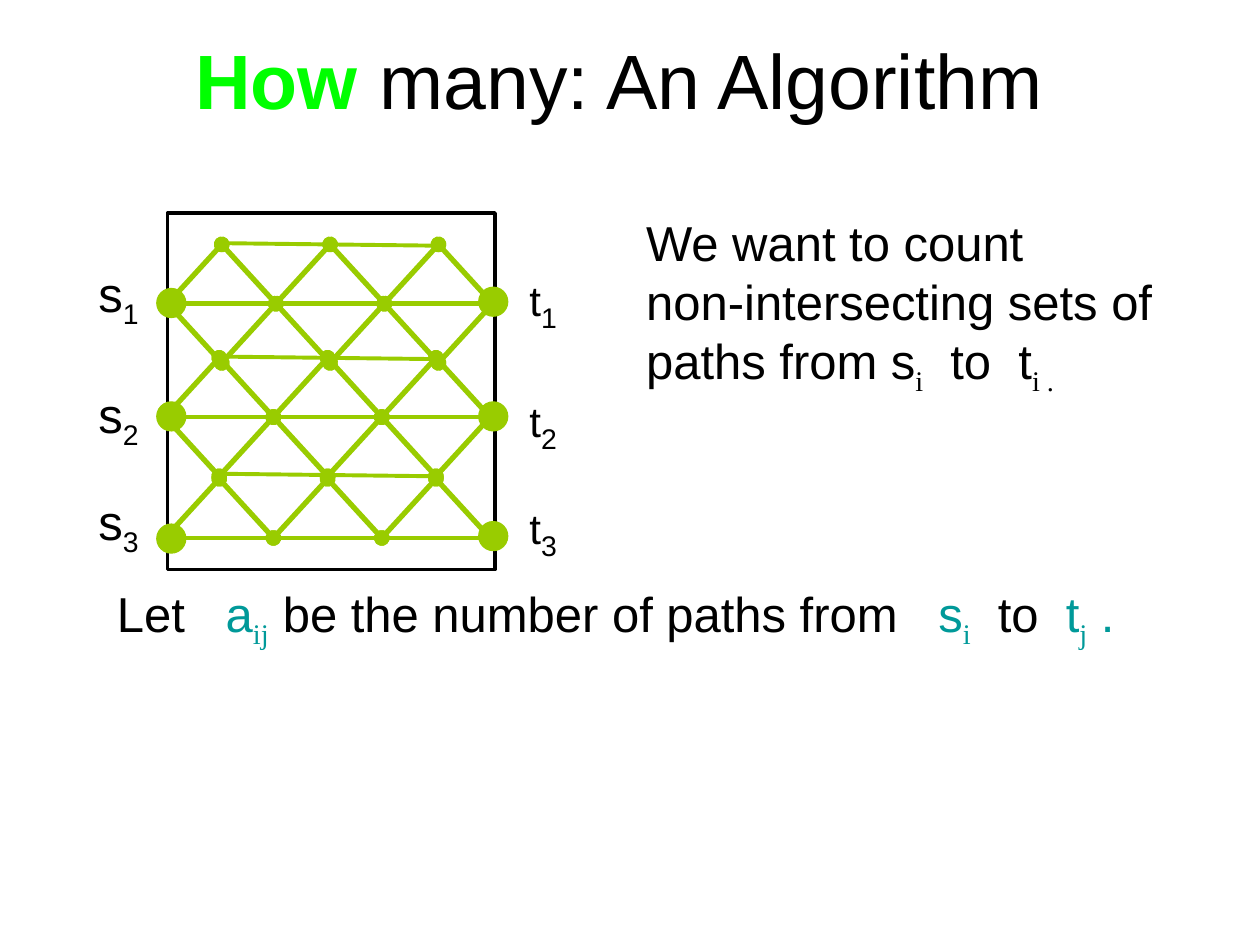
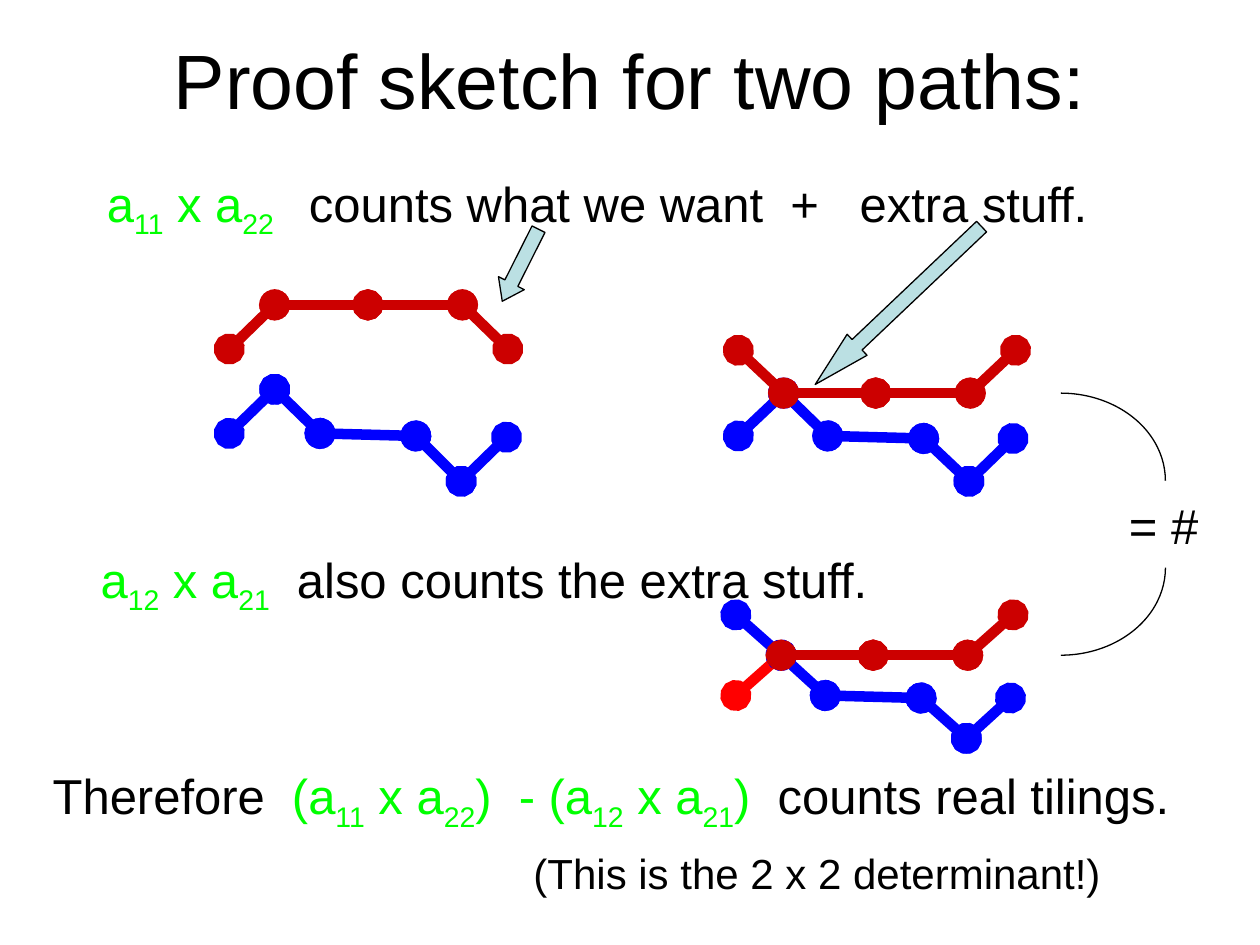
from lxml.etree import SubElement
from pptx import Presentation
from pptx.dml.color import RGBColor
from pptx.enum.shapes import MSO_CONNECTOR, MSO_SHAPE
from pptx.enum.text import MSO_ANCHOR, MSO_AUTO_SIZE, PP_ALIGN
from pptx.oxml.ns import qn
from pptx.util import Inches, Pt

BLACK = RGBColor(0x00, 0x00, 0x00)
GREEN = RGBColor(0x00, 0xFF, 0x00)
TEAL = RGBColor(0x00, 0x99, 0x99)
LIME = RGBColor(0x99, 0xCC, 0x00)
CRIMSON = RGBColor(0xCC, 0x00, 0x00)
RED = RGBColor(0xFF, 0x00, 0x00)
BLUE = RGBColor(0x00, 0x00, 0xFF)
PALE_BLUE = RGBColor(0xBB, 0xE0, 0xE3)
SANS = "Arial"
SERIF = "Times New Roman"
TITLE_ONLY = 5


def span(text, color=None, sub=False, font=None, size=None, bold=None):
    return dict(text=text, color=color, sub=sub, font=font, size=size, bold=bold)


def sub(text, color=None, font=None, size=None):
    return span(text, color, True, font, size)


class Painter:
    """Holds the deck, the current page and the shared style."""

    def __init__(self):
        self.deck = Presentation()
        self.deck.slide_width, self.deck.slide_height = Inches(10), Inches(7.5)

    def new_page(self, *title_spans):
        self.page = self.deck.slides.add_slide(self.deck.slide_layouts[TITLE_ONLY])
        self.shapes = self.page.shapes
        title = self.page.shapes.title
        title.left, title.top = Inches(0.75), Inches(0)
        title.width, title.height = Inches(8.5), Inches(1.25)
        title.text_frame.vertical_anchor = MSO_ANCHOR.MIDDLE
        self.fill_para(title.text_frame.paragraphs[0], title_spans, 44, PP_ALIGN.CENTER)

    def start_group(self):
        self.shapes = self.page.shapes.add_group_shape().shapes

    def end_group(self):
        self.shapes = self.page.shapes

    def fill_para(self, para, spans, size, align):
        para.alignment = align
        para.font.name, para.font.size = SANS, Pt(size)
        para.font.color.rgb = BLACK
        for item in spans:
            run = para.add_run()
            run.text = item["text"]
            if item["color"] is not None:
                run.font.color.rgb = item["color"]
            if item["font"]:
                run.font.name = item["font"]
            if item["size"]:
                run.font.size = Pt(item["size"])
            if item["bold"]:
                run.font.bold = True
            if item["sub"]:
                run._r.get_or_add_rPr().set("baseline", "-25000")

    def text(self, left, top, width, height, *lines, size=28,
             align=PP_ALIGN.LEFT, anchor=MSO_ANCHOR.TOP):
        box = self.shapes.add_textbox(Inches(left), Inches(top), Inches(width), Inches(height))
        frame = box.text_frame
        frame.word_wrap = False
        frame.auto_size = MSO_AUTO_SIZE.SHAPE_TO_FIT_TEXT
        frame.vertical_anchor = anchor
        for index, spans in enumerate(lines):
            para = frame.add_paragraph() if index else frame.paragraphs[0]
            self.fill_para(para, spans, size, align)

    def label(self, left, top, width, height, *spans, size=28):
        self.text(left, top, width, height, spans, size=size,
                  align=PP_ALIGN.CENTER, anchor=MSO_ANCHOR.MIDDLE)

    def shape(self, kind, left, top, width, height, fill=None, line=BLACK, weight=0.75):
        shape = self.shapes.add_shape(kind, Inches(left), Inches(top), Inches(width), Inches(height))
        shape.shadow.inherit = False
        if fill is None:
            shape.fill.background()
        else:
            shape.fill.solid()
            shape.fill.fore_color.rgb = fill
        shape.line.color.rgb = line
        shape.line.width = Pt(weight)
        return shape

    def arrow(self, left, top, width, height, angle, head):
        arrow = self.shape(MSO_SHAPE.RIGHT_ARROW, left, top, width, height, PALE_BLUE)
        arrow.rotation = angle
        arrow.adjustments[1] = head

    def line(self, start, end, color, weight, dots="both"):
        """Draw a line with round dots at "both" ends, the "start" or "none"."""
        line = self.shapes.add_connector(MSO_CONNECTOR.STRAIGHT, *map(Inches, start + end))
        line.line.color.rgb = color
        line.line.width = Pt(weight)
        outline = line.line._get_or_add_ln()
        if dots != "none":
            SubElement(outline, qn("a:headEnd"), type="oval")
        if dots == "both":
            SubElement(outline, qn("a:tailEnd"), type="oval")
        SubElement(line._element.spPr, qn("a:effectLst"))


def draw_lattice(painter):
    step, half, rise = 0.86, 0.43, 0.47
    rows = [(1.33, 2.41), (1.31, 3.31), (1.31, 4.27)]
    painter.shape(MSO_SHAPE.RECTANGLE, 1.33, 1.69, 2.6, 2.83, weight=2)
    for top_left, top_right in [(2.29, 2.28), (3.19, 3.19), (4.16, 4.14)]:
        for left, top in [(1.245, top_left), (3.8, top_right)]:
            painter.shape(MSO_SHAPE.OVAL, left, top, 0.23, 0.23, LIME, LIME)
    for row, (left, middle) in enumerate(rows):
        tips = [middle - rise] if row == len(rows) - 1 else [middle - rise, middle + rise]
        for column in range(3):
            x = left + column * step
            painter.line((x + step, middle), (x, middle), LIME, 2.75, "start")
            for tip in tips:
                painter.line((x, middle), (x + half, tip), LIME, 3)
                painter.line((x + step, middle), (x + half, tip), LIME, 3)
    for left, top in [(1.76, 1.93), (1.74, 2.83), (1.74, 3.76)]:
        painter.line((left, top), (left + 2 * step, top + 0.02), LIME, 2.25, "none")


def draw_path(painter, points, colors):
    """Join the points with thick dotted lines, one colour per segment."""
    for start, end, color in zip(points, points[1:], colors):
        painter.line(start, end, color, 6)


def draw_crossing(painter, left, top, rise, upper_start, lower_start):
    """Draw two paths that touch; the start colours tell which path is which."""
    touch, low = top + rise, top + 2 * rise
    lower = [(left, low), (left + 0.36, touch), (left + 0.71, low),
             (left + 1.47, low + 0.02), (left + 1.83, top + 3 * rise + 0.02),
             (left + 2.18, low + 0.02)]
    upper = [(left, top), (left + 0.36, touch), (left + 1.09, touch),
             (left + 1.84, touch), (left + 2.2, top)]
    draw_path(painter, lower, [lower_start] + [BLUE] * 4)
    draw_path(painter, upper, [upper_start] + [CRIMSON] * 3)


def algorithm_page(painter):
    painter.new_page(span("How ", GREEN, bold=True), span("many: An Algorithm "))
    painter.text(5.03, 1.64, 4.22, 1.5,
                 [span("We want to count")],
                 [span("non-intersecting sets of")],
                 [span("paths from s"), sub("i", font=SERIF), span("  to  t"), sub("i .", font=SERIF)])
    painter.text(0.83, 4.58, 8.36, 0.65, [
        span("Let   "), span("a", TEAL), sub("ij  ", TEAL, SERIF),
        span("be the number of paths from   "), span("s", TEAL), sub("i", TEAL, SERIF),
        span("  to  "), span("t", TEAL), sub("j", TEAL, SERIF), span(" .", TEAL)])
    painter.start_group()
    draw_lattice(painter)
    for number, top in enumerate([2.07, 3.03, 3.88], start=1):
        painter.label(0.67, top, 0.54, 0.57, span("s"), sub(str(number)))
        painter.label(4.09, top + 0.07, 0.44, 0.5, span("t"), sub(str(number), size=28), size=24)
    painter.end_group()


def proof_page(painter):
    painter.new_page(span("Proof sketch for two paths:"))
    painter.start_group()
    draw_path(painter, [(1.82, 2.77), (2.18, 2.42), (2.92, 2.42), (3.67, 2.42), (4.03, 2.77)],
              [CRIMSON] * 4)
    draw_path(painter, [(1.82, 3.44), (2.18, 3.09), (2.54, 3.44), (3.3, 3.46), (3.66, 3.82),
                        (4.02, 3.47)], [BLUE] * 5)
    painter.start_group()
    draw_crossing(painter, 5.86, 2.78, 0.34, CRIMSON, BLUE)
    painter.end_group()

    def product(first, second):
        return [sub(first, GREEN), span(" x a", GREEN), sub(second, GREEN)]

    painter.text(0.75, 1.33, 8.11, 0.57, [
        span("a", GREEN), *product("11", "22 "), span("  counts what we want  +   extra stuff.")])
    painter.start_group()
    draw_crossing(painter, 5.84, 4.88, 0.32, BLUE, RED)
    painter.text(0.7, 4.31, 6.39, 0.57, [
        span("a", GREEN), *product("12", "21"), span("  also counts the extra stuff.")])
    painter.end_group()
    painter.text(0.32, 6.03, 9.3, 0.57, [
        span("Therefore  "), span("(a", GREEN), *product("11", "22"), span(")  - (a", GREEN),
        *product("12", "21"), span(")", GREEN), span("  counts real tilings.")])
    painter.arrow(6.22, 2.31, 1.82, 0.23, 136.5, 1.99)
    painter.arrow(3.81, 1.99, 0.64, 0.23, 116.7, 0.7)
    painter.start_group()
    painter.shape(MSO_SHAPE.ARC, 7.59, 3.12, 1.66, 1.39)
    lower_arc = painter.shape(MSO_SHAPE.ARC, 7.59, 3.81, 1.66, 1.39)
    lower_arc.adjustments[0], lower_arc.adjustments[1] = 0, 54
    painter.label(8.86, 3.88, 0.75, 0.57, span("= #"))
    painter.end_group()
    painter.text(4.11, 6.68, 4.75, 0.5, [span("(This is the 2 x 2 determinant!)")],
                 size=24, align=PP_ALIGN.CENTER)


def main():
    painter = Painter()
    algorithm_page(painter)
    proof_page(painter)
    painter.deck.save("out.pptx")


if __name__ == "__main__":
    main()
